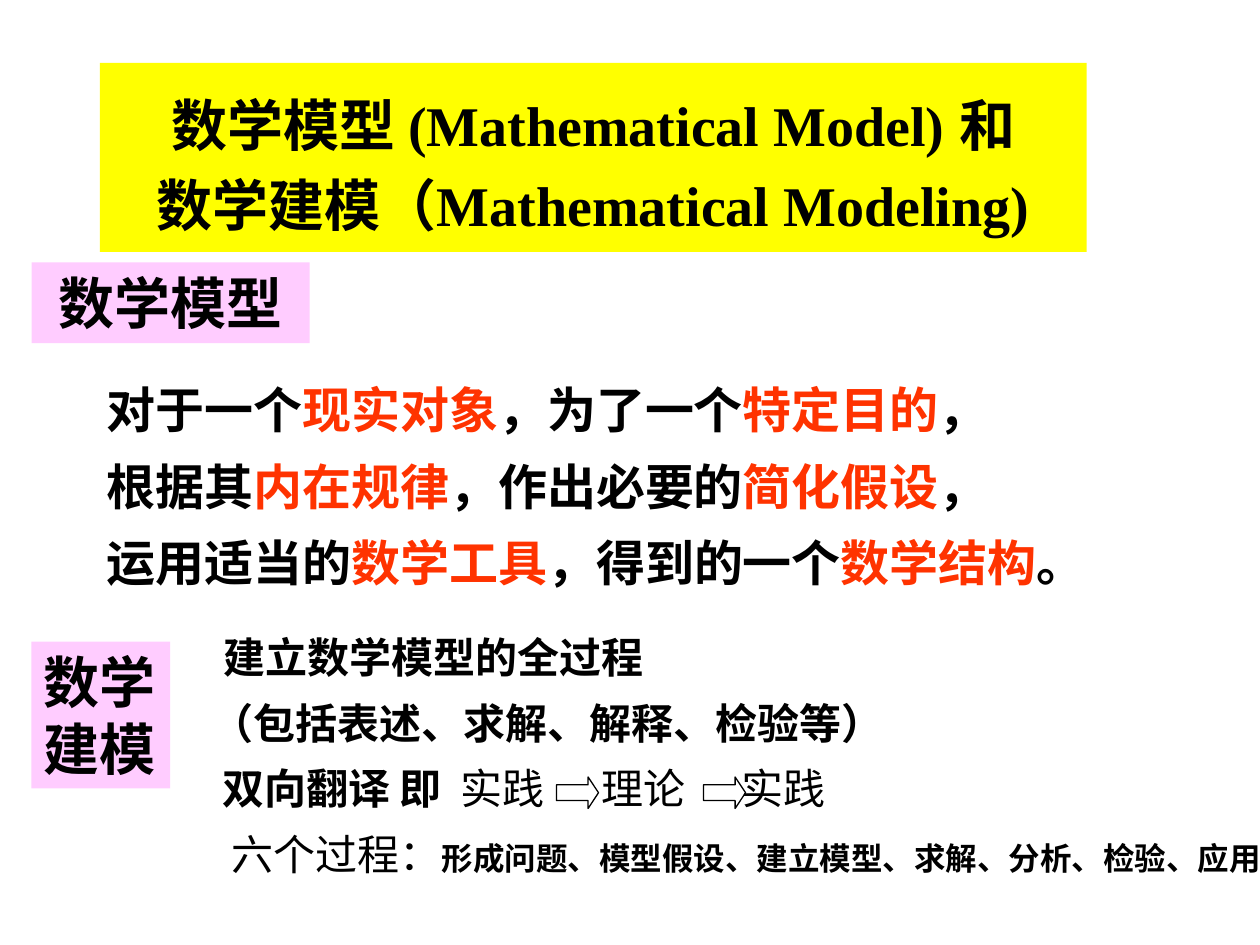
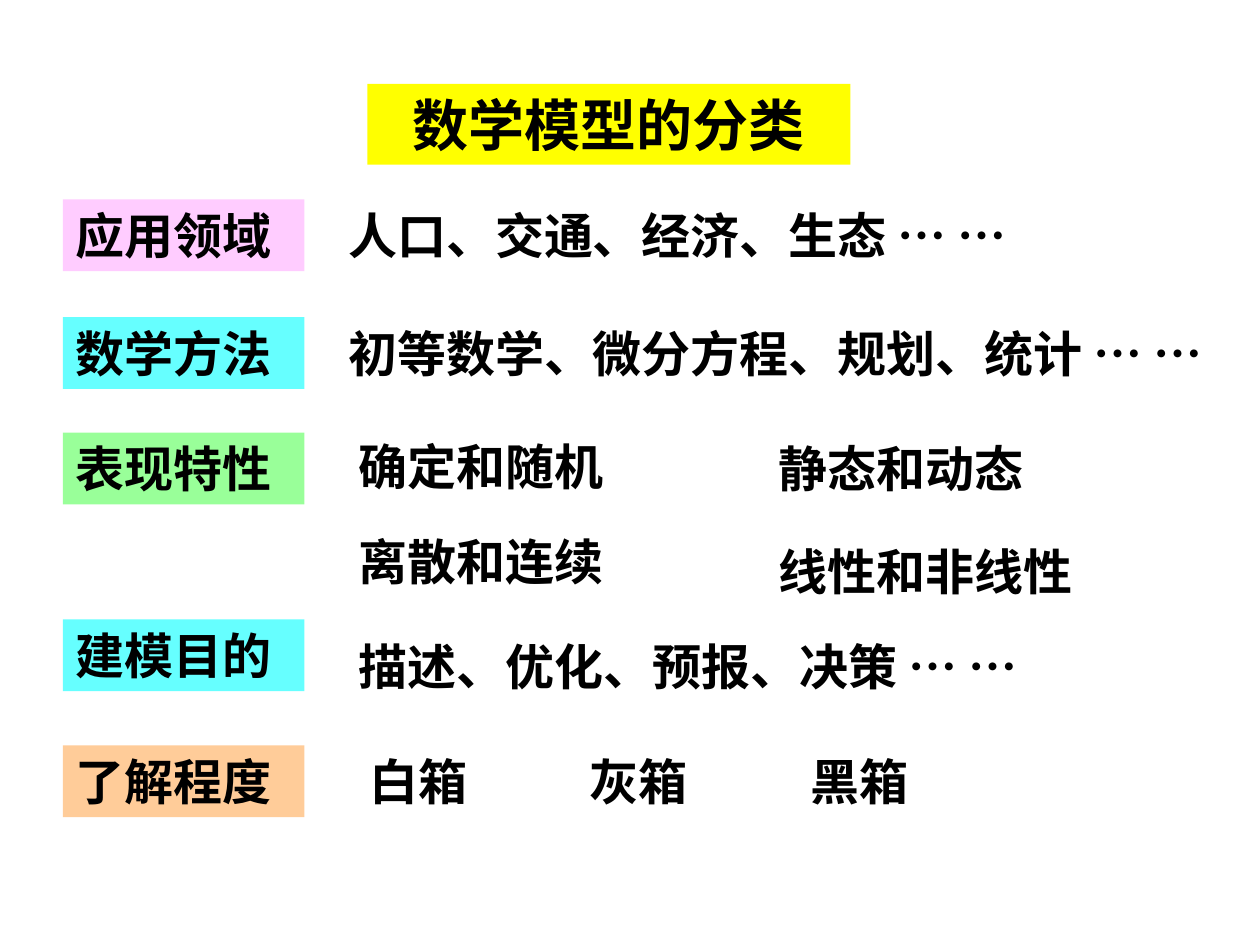
"""Two slides on mathematical models: definitions and classification."""
from lxml import etree
from pptx import Presentation
from pptx.dml.color import RGBColor
from pptx.enum.shapes import MSO_SHAPE as Preset
from pptx.enum.text import MSO_ANCHOR as Anchor, MSO_AUTO_SIZE as AutoSize, PP_ALIGN as Align
from pptx.oxml.ns import qn
from pptx.util import Inches, Pt

COLORS = {
    "ink": "000000", "accent": "FF3300", "title": "FFFF00", "pink": "FFCCFF",
    "cyan": "66FFFF", "green": "99FF99", "orange": "FFCC99",
}
LATIN, CJK = "Times New Roman", "Noto Sans CJK SC"
COLUMNS, ROWS = 120, 90
CELL = Inches(10) / COLUMNS
HEADING, BODY, DETAIL, NOTE = 32, 28, 24, 18
HEADING_ROWS, BODY_ROWS = 7.68, 6.84


def place(*cells):
    """Turn grid columns and rows into slide lengths."""
    return [round(count * CELL) for count in cells]


def rgb(color):
    """Look up a palette colour."""
    return RGBColor.from_string(COLORS[color])


def add_run(paragraph, text, size, color="ink", bold=True, latin=LATIN):
    """Append a run with Latin and East Asian fonts."""
    run = paragraph.add_run()
    run.text = text
    run.font.size, run.font.bold, run.font.name = Pt(size), bold, latin
    run.font.color.rgb = rgb(color)
    etree.SubElement(run.font._element, qn("a:ea")).set("typeface", CJK)


def add_tabs(paragraph, stops):
    """Set left tab stops, given in columns from the text edge."""
    tabs = etree.SubElement(paragraph._p.get_or_add_pPr(), qn("a:tabLst"))
    for stop in place(*stops):
        etree.SubElement(tabs, qn("a:tab"), pos=str(stop), algn="l")


def add_panel(slide, area, fill=None):
    """Add a filled rectangle or a plain text box and return its text frame."""
    if fill:
        panel = slide.shapes.add_shape(Preset.RECTANGLE, *place(*area))
        panel.shadow.inherit = False
        panel.fill.solid()
        panel.fill.fore_color.rgb = rgb(fill)
        panel.line.fill.background()
    else:
        panel = slide.shapes.add_textbox(*place(*area))
    return panel.text_frame


def add_label(slide, text, area, fill=None, size=BODY, align=Align.LEFT):
    """Add a wrapped one-paragraph label."""
    frame = add_panel(slide, area, fill)
    frame.word_wrap, frame.auto_size = True, AutoSize.SHAPE_TO_FIT_TEXT
    frame.vertical_anchor = Anchor.TOP
    frame.paragraphs[0].alignment = align
    add_run(frame.paragraphs[0], text, size)


def add_lines(slide, area, lines, spacing, fill=None, align=Align.LEFT, stops=()):
    """Add unwrapped lines, each a list of run arguments."""
    frame = add_panel(slide, area, fill)
    frame.word_wrap, frame.vertical_anchor = False, Anchor.MIDDLE
    for number, runs in enumerate(lines):
        paragraph = frame.add_paragraph() if number else frame.paragraphs[0]
        paragraph.alignment, paragraph.line_spacing = align, spacing
        if stops and stops[number]:
            add_tabs(paragraph, stops[number])
        for run in runs:
            add_run(paragraph, **run)


def add_step_arrow(slide, column):
    """Add an outlined arrow between two steps."""
    arrow = slide.shapes.add_shape(Preset.RIGHT_ARROW, *place(column, 74, 4, 3))
    arrow.shadow.inherit = False
    arrow.adjustments[0], arrow.adjustments[1] = 0.5, 0.33
    arrow.fill.background()
    arrow.line.color.rgb, arrow.line.width = rgb("ink"), Pt(0.75)


def build_definitions(slide):
    """Define the model and the modelling process."""
    titles = ["数学模型 (Mathematical Model) 和", "数学建模（Mathematical Modeling)"]
    add_lines(slide, (9.5, 6, 94, 18), [[dict(text=title, size=HEADING)] for title in titles],
              1.2, "title", Align.CENTER)

    definition = [
        ("对于一个", "现实对象", "，为了一个", "特定目的", "，"),
        ("根据其", "内在规律", "，作出必要的", "简化假设", "，"),
        ("运用适当的", "数学工具", "，得到的一个", "数学结构", "。"),
    ]
    add_lines(slide, (9, 34.55, 95.4, 21.75), [
        [dict(text=part, size=BODY, latin=CJK, color="accent" if index % 2 else "ink")
         for index, part in enumerate(parts)] for parts in definition], 1.3)
    add_label(slide, "数学模型", (3, 25, 26.5, HEADING_ROWS), "pink", HEADING, Align.CENTER)

    process = [
        [dict(text="\t建立数学模型的全过程", size=DETAIL)],
        [dict(text="（包括表述、求解、解释、检验等）", size=DETAIL)],
        [dict(text="\t双向翻译 即", size=DETAIL),
         dict(text="\t实践\t理论\t实践", size=DETAIL, bold=False)],
        [dict(text="\t六个过程：", size=DETAIL, bold=False),
         dict(text="形成问题、模型假设、建立模型、求解、分析、检验、应用", size=NOTE)],
    ]
    add_lines(slide, (19, 58.2, 103, 26), process, 1.3,
              stops=[(1.1,), (), (1, 23.7, 37.1, 50.4), (1.9,)])
    add_label(slide, "数学建模", (3, 61.1, 13.2, 14), "pink", HEADING)
    for column in (53, 67):
        add_step_arrow(slide, column)


def build_classification(slide):
    """List the criteria and the kinds of model under each."""
    add_label(slide, "数学模型的分类", (35, 8, 46, HEADING_ROWS), "title", HEADING, Align.CENTER)
    criteria = [
        ("应用领域", 19, "pink"), ("数学方法", 30.2, "cyan"), ("表现特性", 41.2, "green"),
        ("建模目的", 59, "cyan"), ("了解程度", 71, "orange"),
    ]
    for criterion, row, fill in criteria:
        add_label(slide, criterion, (6, row, 23, BODY_ROWS), fill)

    kinds = [
        ("人口、交通、经济、生态 … …", 32, 19, 72),
        ("初等数学、微分方程、规划、统计 … …", 32, 30.2, 88),
        ("确定和随机", 33, 41, 26), ("静态和动态", 73, 41.2, 26),
        ("离散和连续", 33, 50, 26), ("线性和非线性", 73, 51, 32),
        ("描述、优化、预报、决策 … …", 33, 60, 81),
    ]
    kinds += [(box, 34 + 21 * index, 71, 13) for index, box in enumerate(("白箱", "灰箱", "黑箱"))]
    for kind, column, row, width in kinds:
        add_label(slide, kind, (column, row, width, BODY_ROWS))


def main():
    """Build and save the deck."""
    deck = Presentation()
    deck.slide_width, deck.slide_height = place(COLUMNS, ROWS)
    for build in (build_definitions, build_classification):
        build(deck.slides.add_slide(deck.slide_layouts[6]))
    deck.save("out.pptx")


if __name__ == "__main__":
    main()
